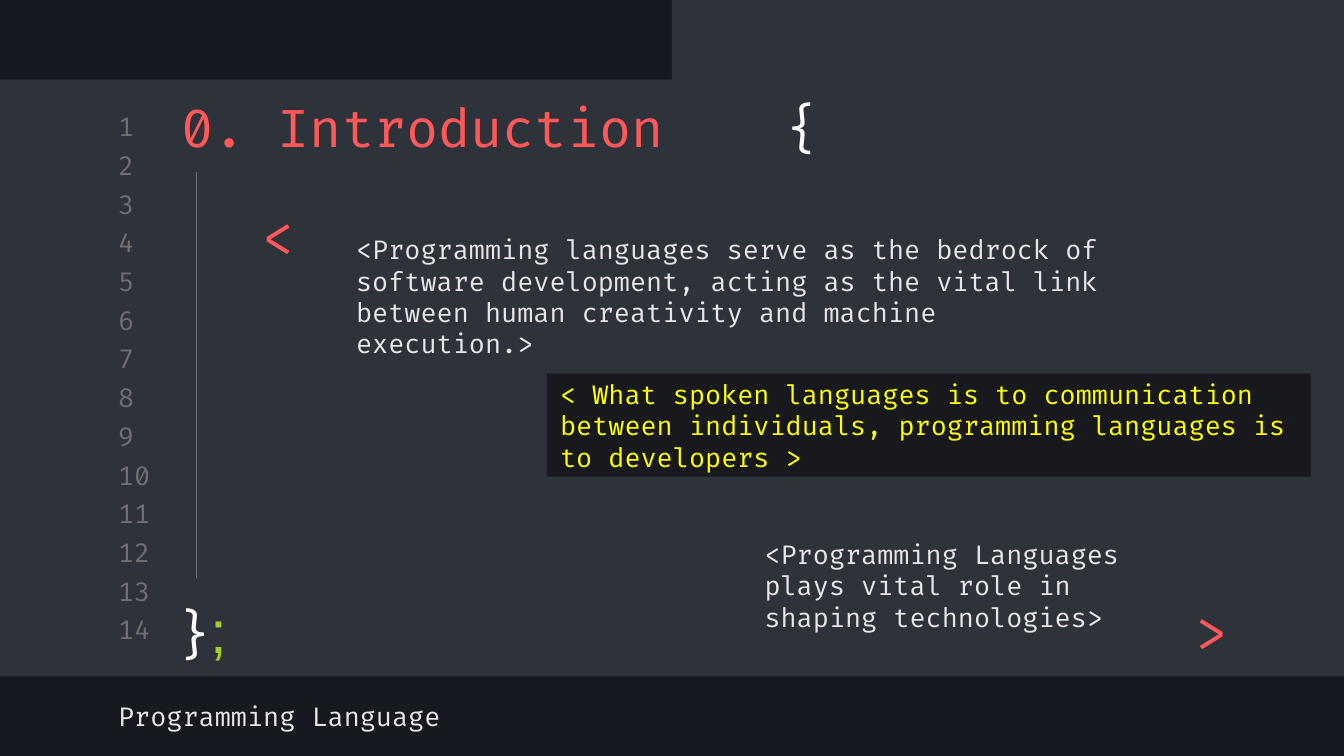
import pptx
import pptx.util
import pptx.dml.color
import pptx.enum.shapes
import pptx.enum.text
import pptx.oxml.ns
import lxml.etree

Pt = pptx.util.Pt
RGBColor = pptx.dml.color.RGBColor
ALIGN = pptx.enum.text.PP_ALIGN
ANCHOR = pptx.enum.text.MSO_ANCHOR

NIGHT = RGBColor(0x16, 0x19, 0x1F)
PANEL = RGBColor(0x2E, 0x32, 0x3B)
BLACK = RGBColor(0x17, 0x19, 0x1D)
GRAY = RGBColor(0x70, 0x70, 0x70)
LIGHT = RGBColor(0xE7, 0xE7, 0xE7)
WHITE = RGBColor(0xFF, 0xFF, 0xFF)
RED = RGBColor(0xFF, 0x58, 0x58)
YELLOW = RGBColor(0xFF, 0xFF, 0x00)
GREEN = RGBColor(0xA5, 0xCF, 0x27)


class CodeSlide:
    font = "Fira Code"
    inset = Pt(7.2)
    body_size = 14
    title_size = 28

    def __init__(self, prs):
        self.s = prs.slides.add_slide(prs.slide_layouts[0])
        fill = self.s.background.fill
        fill.solid()
        fill.fore_color.rgb = NIGHT

    def add_runs(self, sp, runs, align=ALIGN.LEFT, anchor=ANCHOR.MIDDLE):
        tf = sp.text_frame
        tf.word_wrap = True
        tf.auto_size = pptx.enum.text.MSO_AUTO_SIZE.NONE
        tf.vertical_anchor = anchor
        tf.margin_left = tf.margin_right = self.inset
        tf.margin_top = tf.margin_bottom = self.inset
        p = tf.paragraphs[0]
        p.alignment = align
        p.space_before = Pt(0)
        for text, size, color, font in runs:
            r = p.add_run()
            r.text = text
            r.font.size = Pt(size)
            r.font.name = font
            r.font.color.rgb = color

    def body_run(self, text, color=LIGHT):
        return text, self.body_size, color, self.font

    def title_run(self, text, color=RED):
        return text, self.title_size, color, self.font

    def panel(self, x, y, w, h, color):
        sp = self.s.shapes.add_shape(
            pptx.enum.shapes.MSO_SHAPE.RECTANGLE, Pt(x), Pt(y), Pt(w), Pt(h))
        sp.shadow.inherit = False
        sp.fill.solid()
        sp.fill.fore_color.rgb = color
        sp.line.fill.background()
        return sp

    def text(self, x, y, w, h, runs, parent=None, **style):
        shapes = (parent or self.s).shapes
        sp = shapes.add_textbox(Pt(x), Pt(y), Pt(w), Pt(h))
        self.add_runs(sp, runs, **style)

    def placeholder(self, idx, x, y, w, h, runs, **style):
        sp = self.s.placeholders[idx]
        sp.left, sp.top, sp.width, sp.height = Pt(x), Pt(y), Pt(w), Pt(h)
        self.s.shapes.element.append(sp.element)
        self.add_runs(sp, runs, **style)

    def line(self, x1, y1, x2, y2, parent):
        c = parent.shapes.add_connector(
            pptx.enum.shapes.MSO_CONNECTOR.STRAIGHT, Pt(x1), Pt(y1), Pt(x2), Pt(y2))
        c.line.color.rgb = GRAY
        c.line.width = Pt(0.75)
        lxml.etree.SubElement(c.element.spPr, pptx.oxml.ns.qn("a:effectLst"))


def main():
    prs = pptx.Presentation()
    prs.slide_width, prs.slide_height = Pt(720), Pt(405)
    code = CodeSlide(prs)

    code.panel(0, 42.6, 720, 319.6, PANEL)
    code.panel(360, 0, 360, 50, PANEL)
    for i in range(14):
        code.text(56.2, 59 + 20.74 * i, 34, 17.3, [code.body_run(str(i + 1), GRAY)])

    for sign, x, y in (("<", 115.2, 113), (">", 614.9, 324.7)):
        code.text(x, y, 68.4, 26.6, [code.title_run(sign)], align=ALIGN.CENTER)

    code.placeholder(1, 183.6, 139.7, 421.2, 38.2, [code.body_run(
        "<Programming languages serve as the bedrock of software development, "
        "acting as the vital link between human creativity and machine execution.>")])
    quote = code.panel(293, 200.2, 409.2, 55.2, BLACK)
    code.add_runs(quote, [code.body_run(
        "< What spoken languages is to communication between individuals, "
        "programming languages is to developers >", YELLOW)])
    code.text(402.5, 294.5, 246.2, 38.2, [code.body_run(
        "<Programming Languages plays vital role in shaping technologies>")])

    code.placeholder(
        0, 90, 43.9, 573.8, 42.5,
        [code.title_run("0. Introduction \t\t"), code.title_run("{", WHITE)],
        anchor=ANCHOR.TOP)

    block = code.s.shapes.add_group_shape()
    code.text(
        85.7, 311, 46.1, 53.3,
        [code.title_run("}", WHITE), (";", 32, GREEN, "Arial"),
         (" ", code.title_size, WHITE, "Arial")],
        parent=block, align=ALIGN.CENTER, anchor=ANCHOR.TOP)
    code.line(105.2, 92.2, 105.2, 309.6, block)

    code.text(56.2, 369.4, 383, 28.1, [code.body_run("Programming Language")])

    prs.save("out.pptx")


if __name__ == "__main__":
    main()
